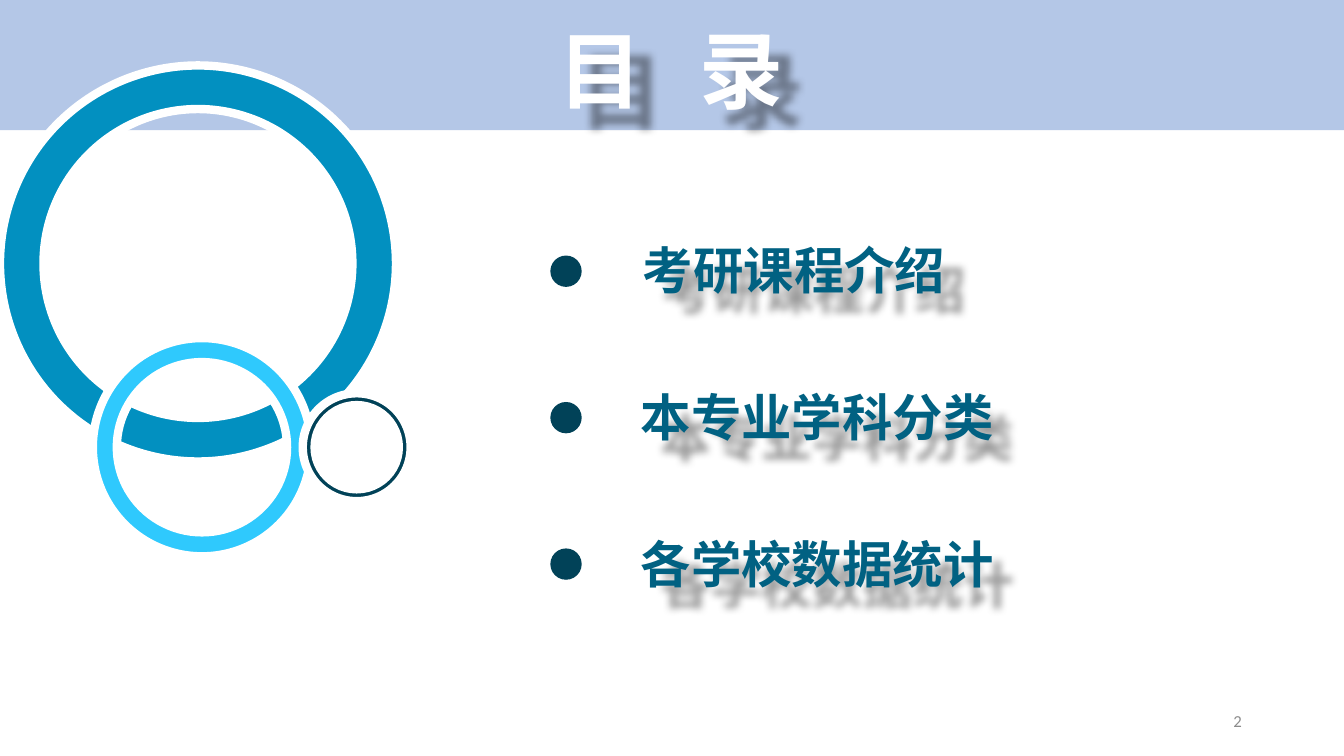
from lxml.etree import SubElement
from pptx import Presentation
from pptx.dml.color import RGBColor
from pptx.enum.shapes import MSO_SHAPE as SHAPE
from pptx.enum.text import MSO_ANCHOR as ANCHOR, PP_ALIGN as ALIGN
from pptx.oxml.ns import qn
from pptx.util import Cm, Pt


def rgb(color):
    return RGBColor.from_string(color)


class Deck:
    cjk = "Noto Sans CJK SC"
    latin = "Calibri"
    band = "B4C7E7"
    white = "FFFFFF"
    navy = "014258"
    teal = "016182"
    grey = "8C8C8C"

    def __init__(self, width, height):
        self.prs = Presentation()
        self.prs.slide_width, self.prs.slide_height = Cm(width), Cm(height)
        self.s = self.prs.slides.add_slide(self.prs.slide_layouts[6])

    def shape(self, kind, x, y, w, h, fill):
        sp = self.s.shapes.add_shape(kind, Cm(x), Cm(y), Cm(w), Cm(h))
        sp.shadow.inherit = False
        sp.fill.solid()
        sp.fill.fore_color.rgb = rgb(fill)
        sp.line.fill.background()
        return sp

    def ring(self, x, y, size, fill):
        sp = self.shape(SHAPE.DONUT, x, y, size, size, fill)
        sp.adjustments[0] = 0.11
        sp.line.color.rgb = rgb(self.white)
        sp.line.width = Pt(6)

    def text(self, runs, x, y, w, h, size, color, font=cjk, bold=True,
             align=ALIGN.CENTER, anchor=ANCHOR.TOP):
        sp = self.s.shapes.add_textbox(Cm(x), Cm(y), Cm(w), Cm(h))
        tf = sp.text_frame
        tf.word_wrap = True
        tf.vertical_anchor = anchor
        p = tf.paragraphs[0]
        p.alignment = align
        for words, spacing in runs:
            r = p.add_run()
            r.text = words
            r.font.size, r.font.bold, r.font.name = Pt(size), bold, font
            r.font.color.rgb = rgb(color)
            rPr = r.font._element
            SubElement(rPr, qn("a:ea")).set("typeface", font)
            if spacing:
                rPr.set("spc", str(spacing * 100))
        return sp

    def shadow(self, sp):
        effects = SubElement(sp._element.spPr, qn("a:effectLst"))
        outer = SubElement(effects, qn("a:outerShdw"), blurRad=str(Cm(0.21)),
                           dist=str(Cm(0.7)), dir="2700000", algn="tl", rotWithShape="0")
        black = SubElement(outer, qn("a:srgbClr"), val="000000")
        SubElement(black, qn("a:alpha"), val="40000")


deck = Deck(33.87, 19.05)
deck.shape(SHAPE.RECTANGLE, 0, 0, 33.87, 3.28, deck.band)
for x, y, size, fill in [(0, 1.65, 9.98, "0290C0"),
                         (2.34, 8.52, 5.5, "2FC9FD"),
                         (7.63, 9.91, 2.72, deck.navy)]:
    deck.ring(x, y, size, fill)

title = deck.text([("目", 0), (" ", 27), ("录", 0)], 4.8, 0.33, 24.23, 2.82, 60, deck.white)
deck.shadow(title)

topics = [("考研课程介绍", 13.87), ("本专业学科分类", 14.45), ("各学校数据统计", 14.45)]
for i, (topic, x) in enumerate(topics):
    deck.shadow(deck.text([(topic, 0)], x, 5.89 + 3.71 * i, 12.29, 1.8, 36, deck.teal))
    deck.shape(SHAPE.OVAL, 13.87, 6.44 + 3.69 * i, 0.79, 0.79, deck.navy)

deck.text([("2", 0)], 23.93, 17.65, 7.62, 1.02, 12, deck.grey, deck.latin, False,
          ALIGN.RIGHT, ANCHOR.MIDDLE)
deck.prs.save("out.pptx")
